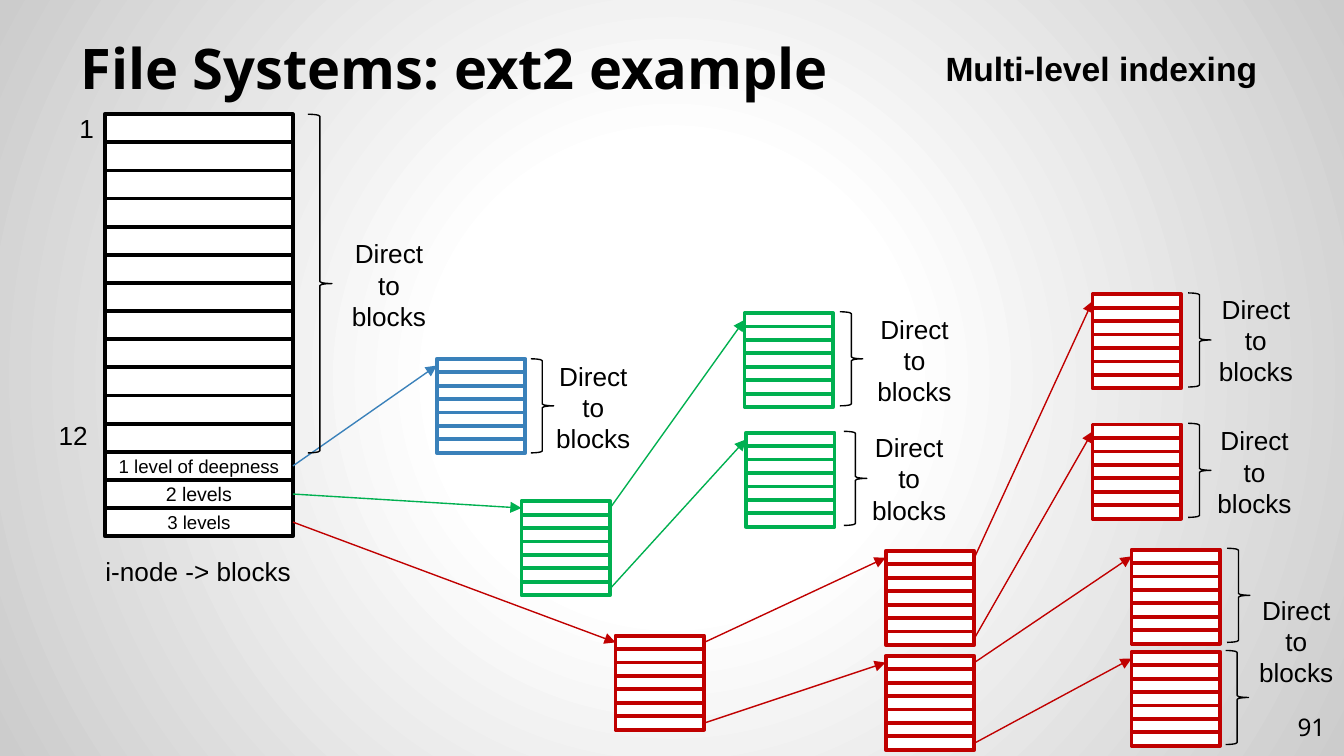
"""Build the ext2 multi-level indexing slide."""
from dataclasses import dataclass

from pptx import Presentation
from pptx import util as u
from pptx.dml.color import RGBColor
from pptx.enum import shapes, text
from pptx.oxml import parse_xml
from pptx.oxml.ns import nsdecls, qn

BLACK = RGBColor(0x00, 0x00, 0x00)
WHITE = RGBColor(0xFF, 0xFF, 0xFF)
GRAY = RGBColor(0xCC, 0xCC, 0xCC)
BLUE = RGBColor(0x3A, 0x81, 0xBA)
GREEN = RGBColor(0x00, 0xB0, 0x50)
RED = RGBColor(0xC0, 0x00, 0x00)
LEFT_SIDE, RIGHT_SIDE = 1, 3
FIRST, LAST = 0, -1
STOPS = ((0, WHITE), (30, WHITE), (100, GRAY))


@dataclass
class Stack:
    left: float
    top: float
    color: RGBColor
    width: float = 0.66
    height: float = 0.7
    labels: tuple = ("",) * 7


@dataclass
class Label:
    words: str
    left: float
    top: float
    width: float
    height: float
    size: float = 14
    font: str = "Arial"
    bold: bool = False
    align: text.PP_ALIGN = text.PP_ALIGN.CENTER
    anchor: text.MSO_ANCHOR = text.MSO_ANCHOR.TOP
    margin: float = 0.05
    grow: bool = True


@dataclass
class Arrow:
    source: str
    row: int
    target: str


STACKS = {
    "inode": Stack(0.78, 0.85, BLACK, 1.4, 3.14,
                   ("",) * 12 + ("1 level of deepness", "2 levels", "3 levels")),
    "single": Stack(3.25, 2.67, BLUE),
    "double": Stack(3.88, 3.73, GREEN),
    "double upper": Stack(5.54, 2.33, GREEN),
    "double lower": Stack(5.55, 3.22, GREEN),
    "triple": Stack(4.58, 4.73, RED),
    "triple upper": Stack(6.59, 4.1, RED),
    "triple lower": Stack(6.59, 4.88, RED),
    "leaf 1": Stack(8.13, 2.19, RED),
    "leaf 2": Stack(8.13, 3.16, RED),
    "leaf 3": Stack(8.42, 4.09, RED),
    "leaf 4": Stack(8.42, 4.85, RED),
}
ARROWS = (
    Arrow("inode", 12, "single"),
    Arrow("inode", 13, "double"),
    Arrow("inode", 14, "triple"),
    Arrow("double", FIRST, "double upper"),
    Arrow("double", LAST, "double lower"),
    Arrow("triple", FIRST, "triple upper"),
    Arrow("triple", LAST, "triple lower"),
    Arrow("triple upper", FIRST, "leaf 1"),
    Arrow("triple upper", LAST, "leaf 2"),
    Arrow("triple lower", FIRST, "leaf 3"),
    Arrow("triple lower", LAST, "leaf 4"),
)
BRACES = ((3.95, 2.67), (6.25, 2.32), (6.28, 3.21), (8.84, 2.18),
          (8.84, 3.15), (9.13, 4.08), (9.12, 4.84))
DIRECT = ((2.46, 1.72), (3.98, 2.63), (6.37, 2.28), (6.33, 3.16),
          (8.91, 2.13), (8.9, 3.11), (9.21, 4.37))
LABELS = (
    Label("File Systems: ext2 example", 0.5, 0.23, 9, 0.62, 30, "Noto Sans", True,
          text.PP_ALIGN.LEFT, text.MSO_ANCHOR.BOTTOM, 0.1, False),
    Label("Multi-level indexing", 6.89, 0.31, 2.61, 0.4, 18, bold=True),
    Label("1", 0.48, 0.79, 0.33, 0.34),
    Label("12", 0.28, 3.07, 0.53, 0.34),
    Label("i-node -> blocks", 0.42, 4.08, 2.11, 0.34),
    Label("91", 9.36, 5.19, 0.6, 0.43, 13, "Noto Sans", False,
          text.PP_ALIGN.RIGHT, text.MSO_ANCHOR.MIDDLE, 0.1, False),
) + tuple(Label("Direct to blocks", left, top, 0.87, 0.81) for left, top in DIRECT)


def paint_background(page) -> None:
    """Fill the page with a radial gradient."""
    page.background.fill.gradient()
    gradient = page.element.find(".//" + qn("a:gradFill"))
    stops = "".join(f'<a:gs pos="{position * 1000}"><a:srgbClr val="{color}"/></a:gs>'
                    for position, color in STOPS)
    radial = parse_xml(
        f'<a:gradFill {nsdecls("a")} rotWithShape="1"><a:gsLst>{stops}</a:gsLst>'
        '<a:path path="circle"><a:fillToRect l="50000" t="50000" r="50000" b="50000"/>'
        '</a:path></a:gradFill>')
    gradient.getparent().replace(gradient, radial)


def write(frame, words: str, size: float, font: str = "Arial", bold: bool = False,
          align: text.PP_ALIGN = text.PP_ALIGN.CENTER) -> None:
    """Put one formatted paragraph in a text frame."""
    frame.text = words
    para = frame.paragraphs[0]
    para.alignment = align
    for span in para.runs:
        span.font.name, span.font.size, span.font.bold = font, u.Pt(size), bold
        span.font.color.rgb = BLACK


def draw_label(page, label: Label) -> None:
    """Draw a text box."""
    box = page.shapes.add_textbox(u.Inches(label.left), u.Inches(label.top),
                                  u.Inches(label.width), u.Inches(label.height))
    frame = box.text_frame
    frame.word_wrap = True
    frame.auto_size = (text.MSO_AUTO_SIZE.SHAPE_TO_FIT_TEXT if label.grow
                       else text.MSO_AUTO_SIZE.NONE)
    frame.vertical_anchor = label.anchor
    frame.margin_top = frame.margin_bottom = u.Inches(label.margin)
    write(frame, label.words, label.size, label.font, label.bold, label.align)


def draw_stack(page, stack: Stack) -> list:
    """Draw a group of stacked rows and return the rows."""
    group = page.shapes.add_group_shape()
    row_height = stack.height / len(stack.labels)
    rows = []
    for index, words in enumerate(stack.labels):
        row = group.shapes.add_shape(
            shapes.MSO_SHAPE.RECTANGLE, u.Inches(stack.left),
            u.Inches(stack.top + index * row_height),
            u.Inches(stack.width), u.Inches(row_height))
        row.shadow.inherit = False
        row.fill.solid()
        row.fill.fore_color.rgb = WHITE
        row.line.color.rgb = stack.color
        row.line.width = u.Pt(2)
        if words:
            row.text_frame.vertical_anchor = text.MSO_ANCHOR.MIDDLE
            write(row.text_frame, words, 10.5 if words == "2 levels" else 10)
        rows.append(row)
    return rows


def draw_brace(page, left: float, top: float, width: float = 0.17,
               height: float = 0.7) -> None:
    """Draw a right brace."""
    brace = page.shapes.add_shape(shapes.MSO_SHAPE.RIGHT_BRACE, u.Inches(left),
                                  u.Inches(top), u.Inches(width), u.Inches(height))
    brace.shadow.inherit = False
    brace.fill.background()
    brace.line.color.rgb = BLACK
    brace.line.width = u.Pt(0.75)


def draw_arrow(page, source, target, color: RGBColor) -> None:
    """Join two rows with an arrow."""
    arrow = page.shapes.add_connector(shapes.MSO_CONNECTOR.STRAIGHT, 0, 0, 0, 0)
    arrow.begin_connect(source, RIGHT_SIDE)
    arrow.end_connect(target, LEFT_SIDE)
    arrow.line.color.rgb = color
    arrow.line.width = u.Pt(0.75)
    properties = arrow.element.spPr
    properties.find(qn("a:ln")).append(
        parse_xml(f'<a:tailEnd {nsdecls("a")} type="triangle"/>'))
    properties.append(parse_xml(f'<a:effectLst {nsdecls("a")}/>'))


def main() -> None:
    """Assemble and save the deck."""
    deck = Presentation()
    deck.slide_width = u.Inches(10)
    deck.slide_height = u.Inches(10 * 9 / 16)
    page = deck.slides.add_slide(deck.slide_layouts[6])
    paint_background(page)
    rows = {name: draw_stack(page, stack) for name, stack in STACKS.items()}
    for arrow in ARROWS:
        draw_arrow(page, rows[arrow.source][arrow.row], rows[arrow.target][FIRST],
                   STACKS[arrow.target].color)
    draw_brace(page, 2.29, 0.85, 0.18, 2.52)
    for left, top in BRACES:
        draw_brace(page, left, top)
    for label in LABELS:
        draw_label(page, label)
    deck.save("out.pptx")


if __name__ == "__main__":
    main()
